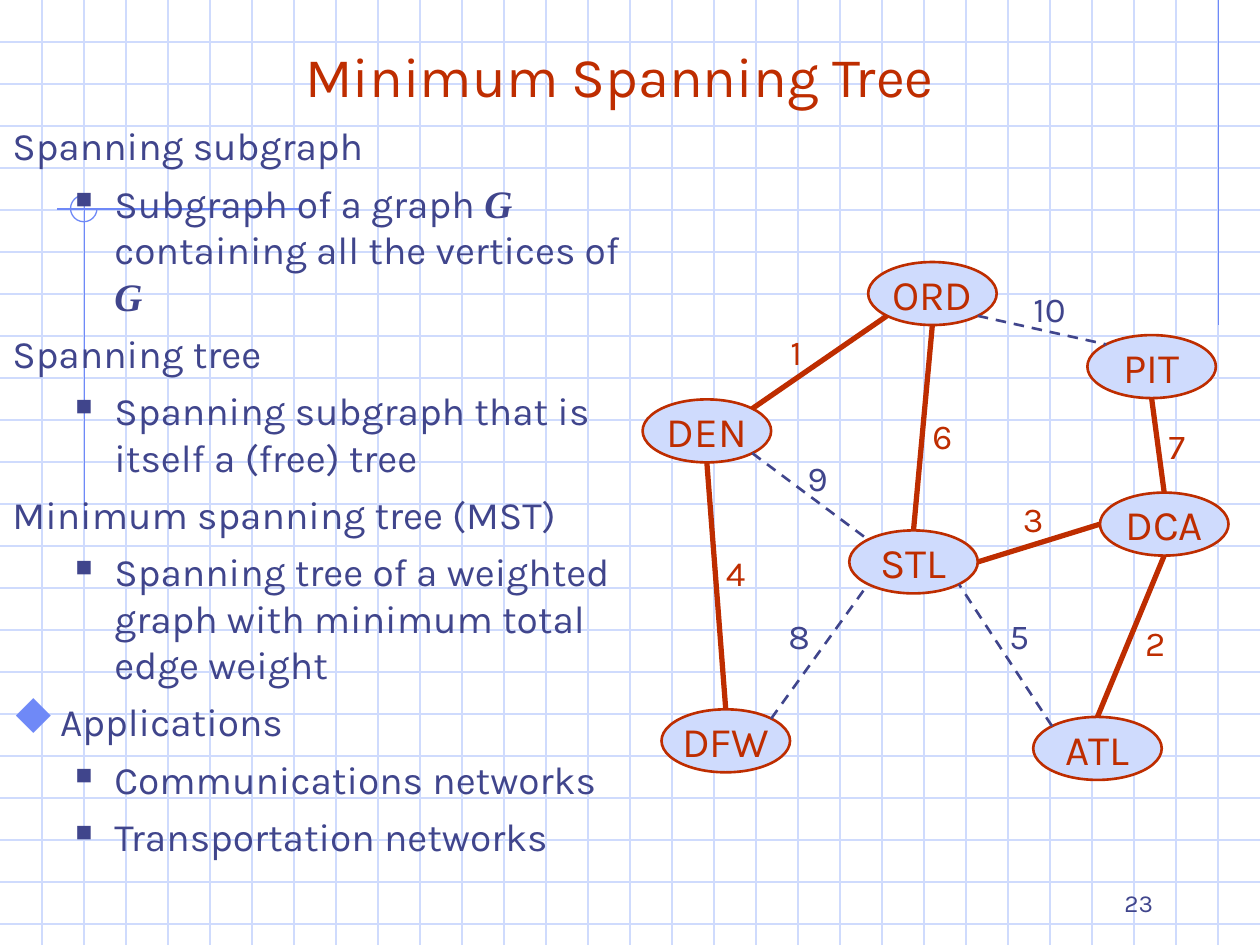
import math

from lxml import etree
from pptx import Presentation
from pptx import util as u
from pptx.dml.color import RGBColor
from pptx.enum import dml, shapes, text
from pptx.oxml.ns import qn

RED = RGBColor(0xBE, 0x2D, 0x00)
NAVY = RGBColor(0x40, 0x45, 0x8C)
PALE = RGBColor(0xCF, 0xDB, 0xFD)
BLUE = RGBColor(0x6F, 0x89, 0xF7)
WIDTH, HEIGHT = 10, 7.5
GRID_STEP = 1 / 3
NODE_W, NODE_H = 1.02, 0.5

# Node name: left, top
NODES = {
    "ORD": (6.89, 2.08), "PIT": (8.63, 2.66), "ATL": (8.2, 5.69),
    "STL": (6.74, 4.21), "DEN": (5.1, 3.17), "DFW": (5.25, 5.63),
    "DCA": (8.73, 3.91),
}

# Direction on the ellipse, in degrees clockwise from the right
SIDES = {side: 45 * i for i, side in
         enumerate(("E", "SE", "S", "SW", "W", "NW", "N", "NE"))}

# Start, end, weight, label left and top, in the tree or not
EDGES = [
    (("DEN", "NE"), ("ORD", "SW"), 1, (6.14, 2.57), True),
    (("STL", "N"), ("ORD", "S"), 6, (7.3, 3.24), True),
    (("STL", "E"), ("DCA", "W"), 3, (8.02, 3.9), True),
    (("DCA", "N"), ("PIT", "S"), 7, (9.16, 3.32), True),
    (("ORD", "SE"), ("PIT", "NW"), 10, (8.07, 2.23), False),
    (("DEN", "S"), ("DFW", "N"), 4, (5.66, 4.33), True),
    (("DCA", "S"), ("ATL", "N"), 2, (8.99, 4.88), True),
    (("ATL", "NW"), ("STL", "SE"), 5, (7.91, 4.83), False),
    (("DFW", "NE"), ("STL", "SW"), 8, (6.16, 4.83), False),
    (("DEN", "SE"), ("STL", "NW"), 9, (6.31, 3.57), False),
]

# Bullet style: Wingdings character, colour, size in percent
SQUARE = ("n", NAVY, 60)
DIAMOND = ("u", BLUE, 110)

# Level, bullet, runs; every second run is a symbol
OUTLINE = [
    (0, None, ["Spanning subgraph"]),
    (1, SQUARE, ["Subgraph of a graph ", "G",
                 " containing all the vertices of ", "G"]),
    (0, None, ["Spanning tree"]),
    (1, SQUARE, ["Spanning subgraph that is itself a (free) tree"]),
    (0, None, ["Minimum spanning tree (MST)"]),
    (1, SQUARE, ["Spanning tree of a weighted graph with minimum total "
                 "edge weight"]),
    (0, DIAMOND, ["Applications"]),
    (1, SQUARE, ["Communications networks"]),
    (1, SQUARE, ["Transportation networks"]),
]
INDENTS = [(0.38, -0.38), (0.81, -0.31)]


def site(name, side):
    """Point where an edge meets the outline of a node."""
    left, top = NODES[name]
    angle = math.radians(SIDES[side])
    return (left + NODE_W / 2 * (1 + math.cos(angle)),
            top + NODE_H / 2 * (1 + math.sin(angle)))


class GraphSlide:
    font_name = "Karla"
    symbol_font = "Times New Roman"
    bullet_font = "Wingdings"

    def __init__(self, slide):
        self.slide = slide

    def style(self, paragraph, size, color, align):
        paragraph.alignment = align
        font = paragraph.font
        font.name, font.size = self.font_name, u.Pt(size)
        font.color.rgb = color

    def line(self, start, end, color, width=0.75, dashed=False):
        points = [u.Inches(v) for v in (*start, *end)]
        line = self.slide.shapes.add_connector(
            shapes.MSO_CONNECTOR.STRAIGHT, *points)
        line.line.color.rgb = color
        line.line.width = u.Pt(width)
        if dashed:
            line.line.dash_style = dml.MSO_LINE.DASH
        etree.SubElement(line._element.spPr, qn("a:effectLst"))

    def shape(self, kind, left, top, width, height, color, line_width):
        shape = self.slide.shapes.add_shape(
            kind, *map(u.Inches, (left, top, width, height)))
        shape.shadow.inherit = False
        shape.line.color.rgb = color
        shape.line.width = u.Pt(line_width)
        return shape

    def arc(self, left, top, size, color):
        arc = self.shape(shapes.MSO_SHAPE.ARC, left, top, size, size,
                         color, 0.75)
        arc.fill.background()
        arc.adjustments[0], arc.adjustments[1] = 0, 162  # right round to top

    def node(self, name):
        node = self.shape(shapes.MSO_SHAPE.OVAL, *NODES[name],
                          NODE_W, NODE_H, RED, 1.5)
        node.fill.solid()
        node.fill.fore_color.rgb = PALE
        frame = node.text_frame
        frame.word_wrap = False
        frame.vertical_anchor = text.MSO_ANCHOR.MIDDLE
        frame.text = name
        self.style(frame.paragraphs[0], 24, RED, text.PP_ALIGN.CENTER)

    def frame(self, left, top, width, height, wrap=True):
        box = self.slide.shapes.add_textbox(
            *map(u.Inches, (left, top, width, height)))
        box.text_frame.word_wrap = wrap
        return box.text_frame

    def label(self, words, box, size, color, align=text.PP_ALIGN.CENTER,
              anchor=text.MSO_ANCHOR.TOP, wrap=True):
        frame = self.frame(*box, wrap)
        frame.vertical_anchor = anchor
        frame.text = words
        self.style(frame.paragraphs[0], size, color, align)

    def bullet(self, paragraph, level, bullet):
        margin, indent = INDENTS[level]
        props = paragraph._p.get_or_add_pPr()
        props.set("marL", str(u.Inches(margin)))
        props.set("indent", str(u.Inches(indent)))
        if bullet is None:
            etree.SubElement(props, qn("a:buNone"))
            return
        char, color, percent = bullet
        fill = etree.SubElement(props, qn("a:buClr"))
        etree.SubElement(fill, qn("a:srgbClr"), val=str(color))
        etree.SubElement(props, qn("a:buSzPct"), val=str(percent * 1000))
        etree.SubElement(props, qn("a:buFont"), typeface=self.bullet_font,
                         pitchFamily="2", charset="2")
        etree.SubElement(props, qn("a:buChar"), char=char)

    def outline(self, items, box, size, color):
        frame = self.frame(*box)
        for i, (level, bullet, runs) in enumerate(items):
            paragraph = frame.add_paragraph() if i else frame.paragraphs[0]
            paragraph.level = level
            if i:
                paragraph.space_before = u.Pt(6)
            self.bullet(paragraph, level, bullet)
            self.style(paragraph, size, color, text.PP_ALIGN.LEFT)
            for j, words in enumerate(runs):
                run = paragraph.add_run()
                run.text = words
                if j % 2:
                    run.font.name = self.symbol_font
                    run.font.bold = run.font.italic = True


def main():
    prs = Presentation()
    prs.slide_width, prs.slide_height = u.Inches(WIDTH), u.Inches(HEIGHT)
    page = GraphSlide(prs.slides.add_slide(prs.slide_layouts[6]))

    # Squared paper
    for i in range(1, 23):
        page.line((0, i * GRID_STEP), (WIDTH, i * GRID_STEP), PALE)
    for i in range(1, 30):
        page.line((i * GRID_STEP, 0), (i * GRID_STEP, HEIGHT), PALE)

    # Drafting marks
    page.line((9.67, 0), (9.67, 2.58), BLUE)
    page.line((2.4, 1.66), (0.45, 1.66), BLUE)
    page.line((0.67, 1.55), (0.67, 4.09), BLUE)
    page.arc(0.56, 1.55, 0.21, BLUE)

    # Title and outline
    page.label("Minimum Spanning Tree", (0.67, 0.33, 8.5, 0.58), 32, RED,
               anchor=text.MSO_ANCHOR.BOTTOM)
    page.outline(OUTLINE, (0, 0.92, 5.24, 6), 22.2, NAVY)

    # Graph: tree edges are solid, the others dashed
    for name in NODES:
        page.node(name)
    for start, end, weight, (left, top), in_tree in EDGES:
        color = RED if in_tree else NAVY
        page.line(site(*start), site(*end), color,
                  3 if in_tree else 1.5, not in_tree)
        width = 0.52 if weight > 9 else 0.36
        page.label(str(weight), (left, top, width, 0.44), 20, color,
                   wrap=False)

    # Page number
    page.label("23", (7.17, 6.83, 2.08, 0.5), 14, NAVY,
               text.PP_ALIGN.RIGHT, text.MSO_ANCHOR.BOTTOM)

    prs.save("out.pptx")


if __name__ == "__main__":
    main()
